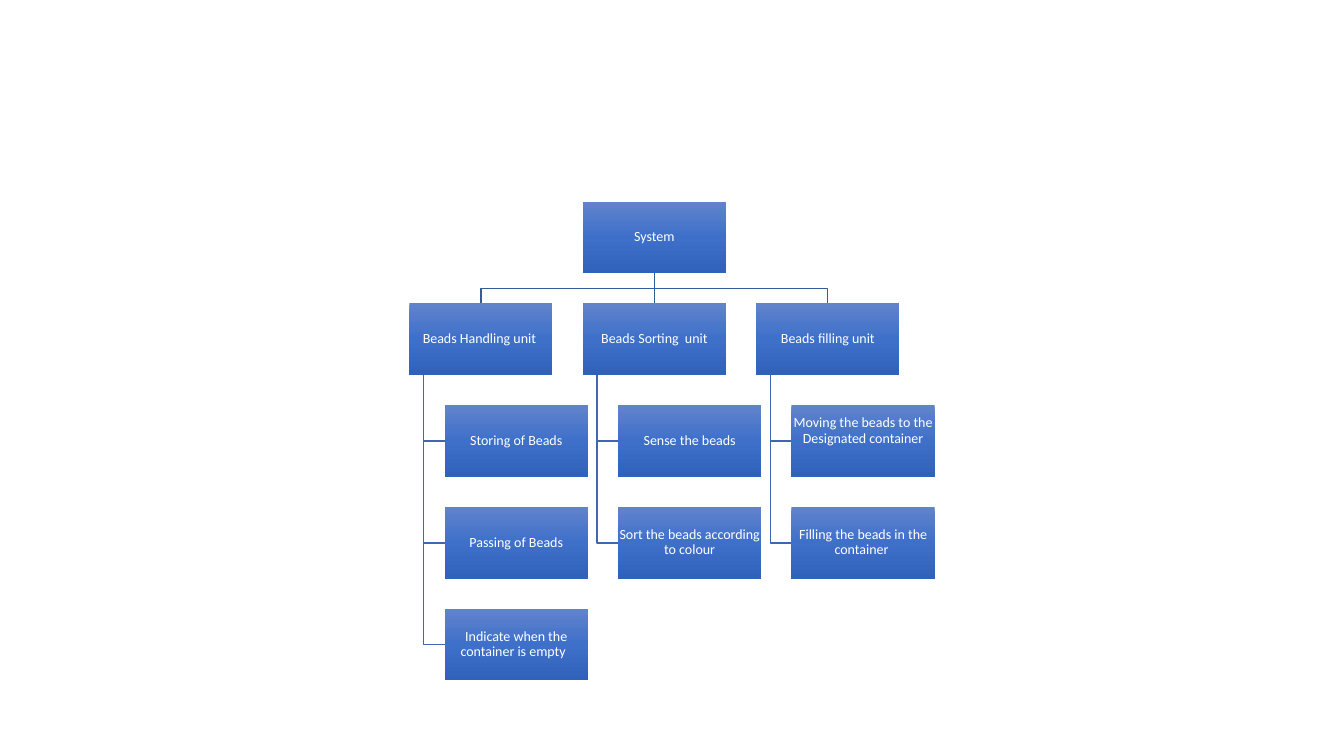
from copy import deepcopy
from dataclasses import dataclass

from pptx import Presentation
from pptx.dml.color import RGBColor as RGB
from pptx.enum.shapes import MSO_CONNECTOR as CONNECTOR, MSO_SHAPE as SHAPE
from pptx.enum.text import MSO_ANCHOR as ANCHOR, PP_ALIGN as ALIGN
from pptx.oxml.ns import qn
from pptx.shapes.shapetree import SlideShapes
from pptx.util import Inches, Pt
from lxml.etree import SubElement


@dataclass(frozen=True)
class Theme:
    font: str = "Calibri"
    size: float = 10
    text: str = "FFFFFF"
    root_line: str = "365B9D"
    task_line: str = "3E67B2"
    line_width: float = 1
    gradient: tuple[tuple[float, str], ...] = (
        (0, "6183CB"), (0.5, "3E70CA"), (1, "3062BB"))


@dataclass(frozen=True)
class Grid:
    left: float = 4.06
    top: float = 2
    col: float = 1.72
    row: float = 1.01
    width: float = 1.42
    height: float = 0.71
    indent: float = 0.35
    trunk: float = 0.14
    inset: float = 0.01


@dataclass(frozen=True)
class Box:
    text: str
    col: int
    row: int
    indent: float = 0
    lift: float = 0

    @property
    def x(self) -> float:
        return GRID.left + self.col * GRID.col + self.indent

    @property
    def y(self) -> float:
        return GRID.top + self.row * GRID.row

    @property
    def center(self) -> float:
        return self.x + GRID.width / 2

    @property
    def middle(self) -> float:
        return self.y + GRID.height / 2

    @property
    def bottom(self) -> float:
        return self.y + GRID.height


Point = tuple[float, float]
THEME = Theme()
GRID = Grid()
LIFTED = "Moving the beads to the Designated container"
UNITS = {
    "Beads Handling unit ": (
        "Storing of Beads", "Passing of Beads",
        "Indicate when the container is empty  "),
    "Beads Sorting  unit": (
        "Sense the beads", "Sort the beads according to colour"),
    "Beads filling unit": (LIFTED, "Filling the beads in the container "),
}


def draw_line(shapes: SlideShapes, points: list[Point], color: str) -> None:
    pts = [(Inches(x), Inches(y)) for x, y in points]
    if len(pts) == 2:
        s = shapes.add_connector(CONNECTOR.STRAIGHT, *pts[0], *pts[1])
        SubElement(s._element.spPr, qn("a:effectLst"))
    else:
        builder = shapes.build_freeform(*pts[0])
        builder.add_line_segments(pts[1:], close=False)
        s = builder.convert_to_shape()
        s.fill.background()
        s.shadow.inherit = False
    s.line.color.rgb = RGB.from_string(color)
    s.line.width = Pt(THEME.line_width)


def draw_box(shapes: SlideShapes, box: Box) -> None:
    s = shapes.add_shape(SHAPE.RECTANGLE, Inches(box.x), Inches(box.y),
                         Inches(GRID.width), Inches(GRID.height))
    s.shadow.inherit = False
    s.line.fill.background()
    s.fill.gradient()
    s.fill.gradient_angle = 270
    stops = s._element.spPr.find(qn("a:gradFill")).find(qn("a:gsLst"))
    stops.append(deepcopy(stops[0]))
    for stop, (position, color) in zip(s.fill.gradient_stops, THEME.gradient):
        stop.position = position
        stop.color.rgb = RGB.from_string(color)
    tf = s.text_frame
    tf.word_wrap = True
    tf.vertical_anchor = ANCHOR.MIDDLE
    tf.margin_left = tf.margin_right = tf.margin_top = Inches(GRID.inset)
    tf.margin_bottom = Inches(GRID.inset + box.lift)
    p = tf.paragraphs[0]
    p.text = box.text
    p.alignment = ALIGN.CENTER
    p.line_spacing = 0.9
    p.font.name = THEME.font
    p.font.size = Pt(THEME.size)
    p.font.color.rgb = RGB.from_string(THEME.text)


def link_unit(shapes: SlideShapes, root: Box, unit: Box) -> None:
    start, end = (root.center, root.bottom), (unit.center, unit.y)
    bend = (root.bottom + unit.y) / 2
    elbow = [] if unit.col == root.col else [(root.center, bend), (unit.center, bend)]
    draw_line(shapes, [start, *elbow, end], THEME.root_line)


def link_task(shapes: SlideShapes, unit: Box, task: Box) -> None:
    x = unit.x + GRID.trunk
    draw_line(shapes, [(x, unit.bottom), (x, task.middle), (task.x, task.middle)],
              THEME.task_line)


prs = Presentation()
prs.slide_width, prs.slide_height = Inches(13.33), Inches(7.5)
shapes = prs.slides.add_slide(prs.slide_layouts[6]).shapes

root = Box("System", 1, 0)
boxes = [root]
for col, (name, tasks) in enumerate(UNITS.items()):
    unit = Box(name, col, 1)
    boxes.append(unit)
    link_unit(shapes, root, unit)
    for row, text in enumerate(tasks, start=2):
        task = Box(text, col, row, GRID.indent, 0.2 if text == LIFTED else 0)
        boxes.append(task)
        link_task(shapes, unit, task)
for box in boxes:
    draw_box(shapes, box)

prs.save("out.pptx")
